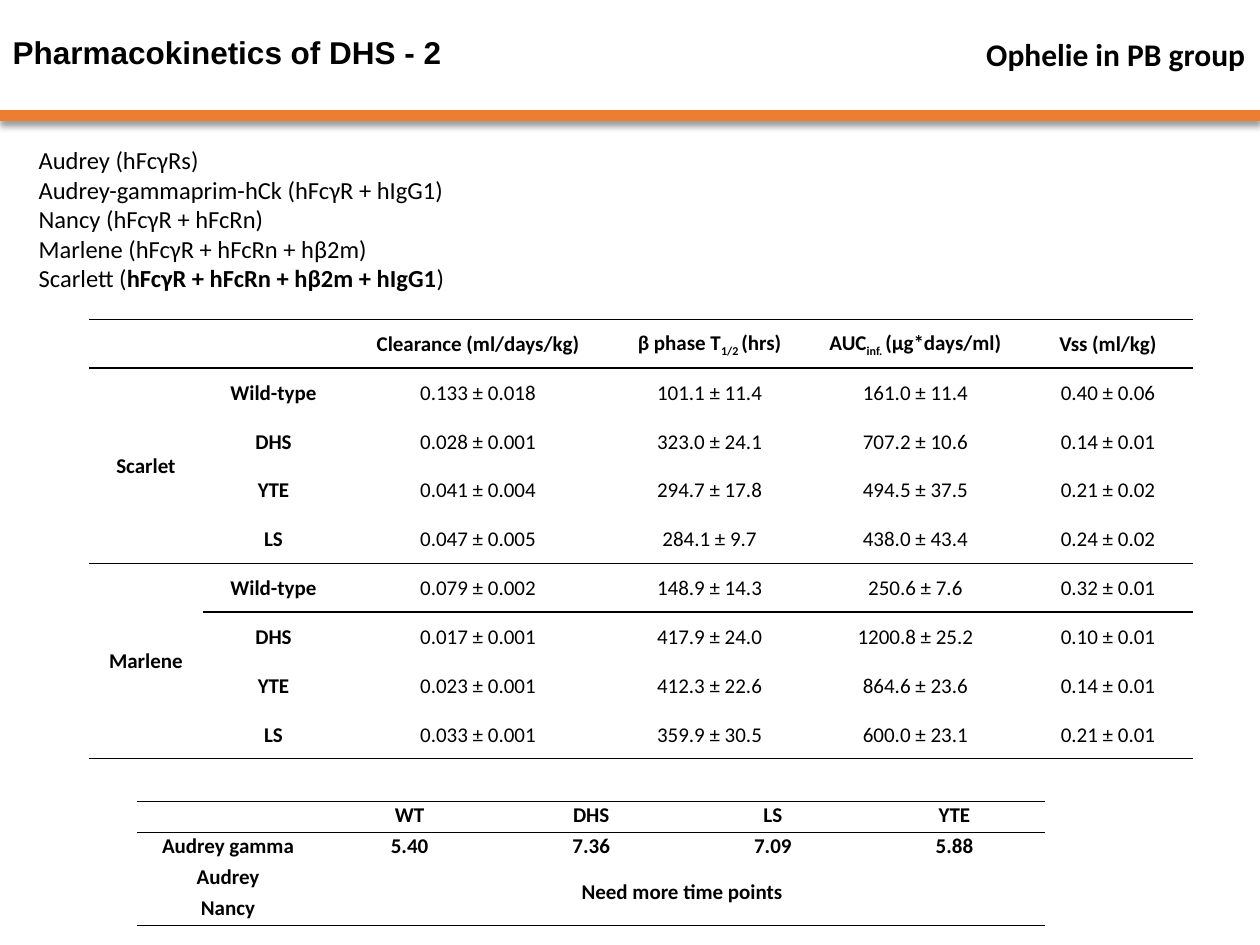
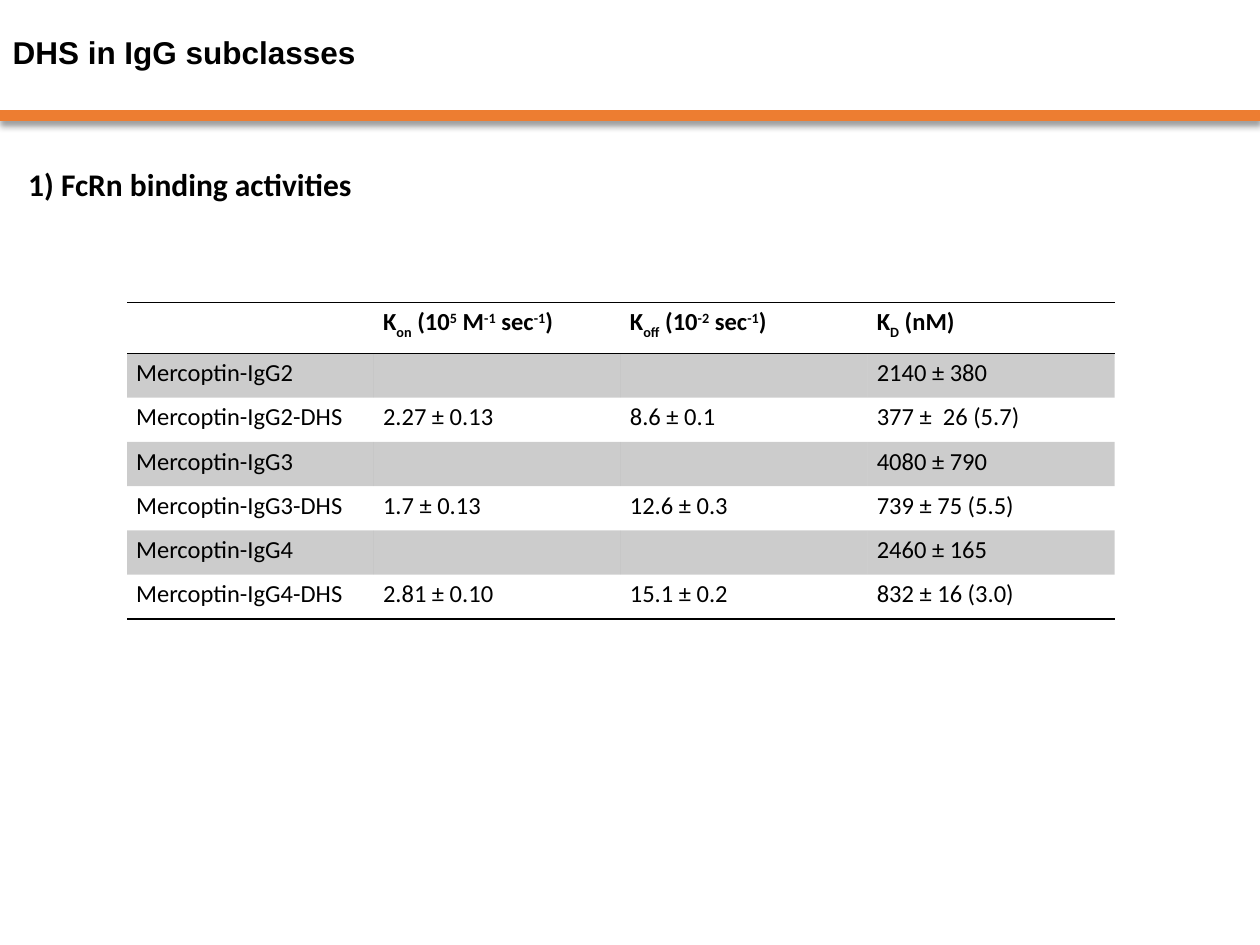
from lxml.etree import SubElement
from pptx import Presentation
from pptx.dml.color import RGBColor
from pptx.enum.shapes import MSO_CONNECTOR
from pptx.enum.text import MSO_ANCHOR, MSO_AUTO_SIZE, PP_ALIGN
from pptx.oxml import parse_xml
from pptx.oxml.ns import nsdecls, qn
from pptx.util import Pt

BLACK, ORANGE = "000000", "ED7D31"
NO_STYLE = "{2D5ABB26-0587-4C30-8999-92F81FD0307C}"
BASELINES = {"_": "-25000", "^": "30000"}


def color(hex_text):
    return RGBColor.from_string(hex_text)


def write(p, text, font="Calibri", size=14, bold=False, align=PP_ALIGN.LEFT):
    """Fill a paragraph; |_x| is subscript, |^x| superscript, |*x| bold."""
    p.alignment = align
    if not text:
        p._p.get_or_add_endParaRPr().set("sz", str(size * 100))
        return
    for piece in text.split("|"):
        mark = piece[0] if piece[0] in "_^*" else ""
        r = p.add_run()
        r.text = piece[len(mark):]
        r.font.name, r.font.size = font, Pt(size)
        r.font.bold = bold or mark == "*"
        r.font.color.rgb = color(BLACK)
        if mark in BASELINES:
            r._r.get_or_add_rPr().set("baseline", BASELINES[mark])


def add_border(cell, side):
    cell._tc.get_or_add_tcPr().append(parse_xml(
        f'<a:ln{side} {nsdecls("a")} w="12700"><a:solidFill>'
        f'<a:srgbClr val="{BLACK}"/></a:solidFill></a:ln{side}>'))


class Deck:
    def __init__(self):
        self.prs = Presentation()
        self.prs.slide_width, self.prs.slide_height = Pt(720), Pt(540)
        self.s = None

    def slide(self, title):
        self.s = self.prs.slides.add_slide(self.prs.slide_layouts[5])
        sp = self.s.shapes.title
        sp.left, sp.top, sp.width, sp.height = Pt(0), Pt(15), Pt(686), Pt(29)
        tf = sp.text_frame
        tf.vertical_anchor = MSO_ANCHOR.TOP
        tf.auto_size = MSO_AUTO_SIZE.NONE
        write(tf.paragraphs[0], title, font="Arial", size=18, bold=True)
        self.rule()

    def rule(self):
        line = self.s.shapes.add_connector(
            MSO_CONNECTOR.STRAIGHT, Pt(0), Pt(66), Pt(720), Pt(66))
        line.line.color.rgb, line.line.width = color(ORANGE), Pt(6)
        line._element.spPr.append(parse_xml(
            f'<a:effectLst {nsdecls("a")}><a:outerShdw blurRad="50800" '
            'dist="38100" dir="5400000" algn="t" rotWithShape="0">'
            f'<a:srgbClr val="{BLACK}"><a:alpha val="40000"/></a:srgbClr>'
            '</a:outerShdw></a:effectLst>'))

    def text(self, x, y, w, h, lines, **fmt):
        tf = self.s.shapes.add_textbox(Pt(x), Pt(y), Pt(w), Pt(h)).text_frame
        tf.word_wrap = False
        tf.auto_size = MSO_AUTO_SIZE.SHAPE_TO_FIT_TEXT
        for i, line in enumerate(lines):
            write(tf.add_paragraph() if i else tf.paragraphs[0], line, **fmt)

    def table(self, x, y, widths, heights, rows, insets, merges=(), rules=(),
              bold=lambda i, j: i == 0, shaded=(), anchor=MSO_ANCHOR.MIDDLE,
              **fmt):
        """Draw a table; rules are the row numbers that have a line below."""
        shape = self.s.shapes.add_table(
            len(rows), len(widths), Pt(x), Pt(y), Pt(sum(widths)), Pt(sum(heights)))
        tbl = shape.table
        tbl.first_row = tbl.horz_banding = False
        tbl._tbl.tblPr.find(qn("a:tableStyleId")).text = NO_STYLE
        for col, width in zip(tbl.columns, widths):
            col.width = Pt(width)
        for row, height in zip(tbl.rows, heights):
            row.height = Pt(height)
        for i, row in enumerate(rows):
            for j, value in enumerate(row):
                cell = tbl.cell(i, j)
                cell.vertical_anchor = anchor
                (cell.margin_left, cell.margin_top, cell.margin_right,
                 cell.margin_bottom) = map(Pt, insets)
                write(cell.text_frame.paragraphs[0], value, bold=bold(i, j), **fmt)
                if i == 0:
                    add_border(cell, "T")
                if (i, j) in rules or i in rules:
                    add_border(cell, "B")
                if i in shaded:
                    cell.fill.solid()
                    cell.fill.fore_color.rgb = color(BLACK)
                    clr = cell._tc.tcPr.find(".//" + qn("a:srgbClr"))
                    SubElement(clr, qn("a:alpha")).set("val", "20000")
                else:
                    cell.fill.background()
        for top, left, bottom, right in merges:
            tbl.cell(top, left).merge(tbl.cell(bottom, right))


def pharmacokinetics(deck):
    deck.slide("Pharmacokinetics of DHS - 2")
    deck.text(556.5, 16.5, 163.5, 29, ["Ophelie in PB group"], size=18, bold=True)

    # Mouse strains
    deck.text(15, 79.5, 248, 92, [
        "Audrey (hFcγRs)",
        "Audrey-gammaprim-hCk (hFcγR + hIgG1)",
        "Nancy (hFcγR + hFcRn)",
        "Marlene (hFcγR + hFcRn + hβ2m)",
        "Scarlett (|*hFcγR + hFcRn + hβ2m + hIgG1|)"])

    # Pharmacokinetic parameters
    rows = [
        ["", "", "Clearance (ml/days/kg)", "β phase T|_1/2 |(hrs)",
         "AUC|_inf. |(μg*days/ml)", "Vss (ml/kg)"],
        ["Scarlet", "Wild-type", "0.133 ± 0.018", "101.1 ± 11.4", "161.0 ± 11.4", "0.40 ± 0.06"],
        ["", "DHS", "0.028 ± 0.001", "323.0 ± 24.1", "707.2 ± 10.6", "0.14 ± 0.01"],
        ["", "YTE", "0.041 ± 0.004", "294.7 ± 17.8", "494.5 ± 37.5", "0.21 ± 0.02"],
        ["", "LS", "0.047 ± 0.005", "284.1 ± 9.7", "438.0 ± 43.4", "0.24 ± 0.02"],
        ["Marlene", "Wild-type", "0.079 ± 0.002", "148.9 ± 14.3", "250.6 ± 7.6", "0.32 ± 0.01"],
        ["", "DHS", "0.017 ± 0.001", "417.9 ± 24.0", "1200.8 ± 25.2", "0.10 ± 0.01"],
        ["", "YTE", "0.023 ± 0.001", "412.3 ± 22.6", "864.6 ± 23.6", "0.14 ± 0.01"],
        ["", "LS", "0.033 ± 0.001", "359.9 ± 30.5", "600.0 ± 23.1", "0.21 ± 0.01"]]
    wild_type_rule = [(5, j) for j in range(1, 6)]
    deck.table(51, 182.5, [64.8, 81, 152.8, 111.8, 123.4, 96.8], [27.9] * 9, rows,
               insets=(0.7, 0.7, 0.7, 0), merges=[(1, 0, 4, 0), (5, 0, 8, 0)],
               rules=[0, (1, 0), 4, (5, 0), *wild_type_rule, 8],
               bold=lambda i, j: i == 0 or j < 2, size=12, align=PP_ALIGN.CENTER)

    # Half-lives in the other strains
    rows = [
        ["", "WT", "DHS", "LS", "YTE"],
        ["Audrey gamma", "5.40", "7.36", "7.09", "5.88"],
        ["Audrey", "Need more time points", "", "", ""],
        ["Nancy", "", "", "", ""]]
    deck.table(78.4, 458, [103.8] * 5, [17.7] * 4, rows, insets=(0.7, 0.5, 0.7, 2.5),
               merges=[(2, 1, 3, 4)], rules=[0, (2, 1), 3],
               bold=lambda i, j: True, size=12, align=PP_ALIGN.CENTER)


def subclasses(deck):
    deck.slide("DHS in IgG subclasses")
    deck.text(9, 91, 201, 29, ["1) FcRn binding activities"], size=18, bold=True)

    # Binding constants: each subclass, then its DHS variant
    rows = [["", "K|_on| (10|^5| M|^-1| sec|^-1|)",
             "K|_off| (10|^-2| sec|^-1|)", "K|_D| (nM)"]]
    for subclass, plain_kd, *variant in [
            ("IgG2", "2140 ± 380", "2.27 ± 0.13", "8.6 ± 0.1", "377 ±  26 (5.7)"),
            ("IgG3", "4080 ± 790", "1.7 ± 0.13", "12.6 ± 0.3", "739 ± 75 (5.5)"),
            ("IgG4", "2460 ± 165", "2.81 ± 0.10", "15.1 ± 0.2", "832 ± 16 (3.0)")]:
        rows.append([f"Mercoptin-{subclass}", "", "", plain_kd])
        rows.append([f"Mercoptin-{subclass}-DHS", *variant])
    deck.table(72.6, 173, [141.1] * 4, [29] + [25.3] * 6, rows,
               insets=(5.2, 2.8, 5.2, 2.8), rules=[0, 6], shaded=(1, 3, 5),
               anchor=MSO_ANCHOR.TOP)


def main():
    deck = Deck()
    pharmacokinetics(deck)
    subclasses(deck)
    deck.prs.save("out.pptx")


if __name__ == "__main__":
    main()
